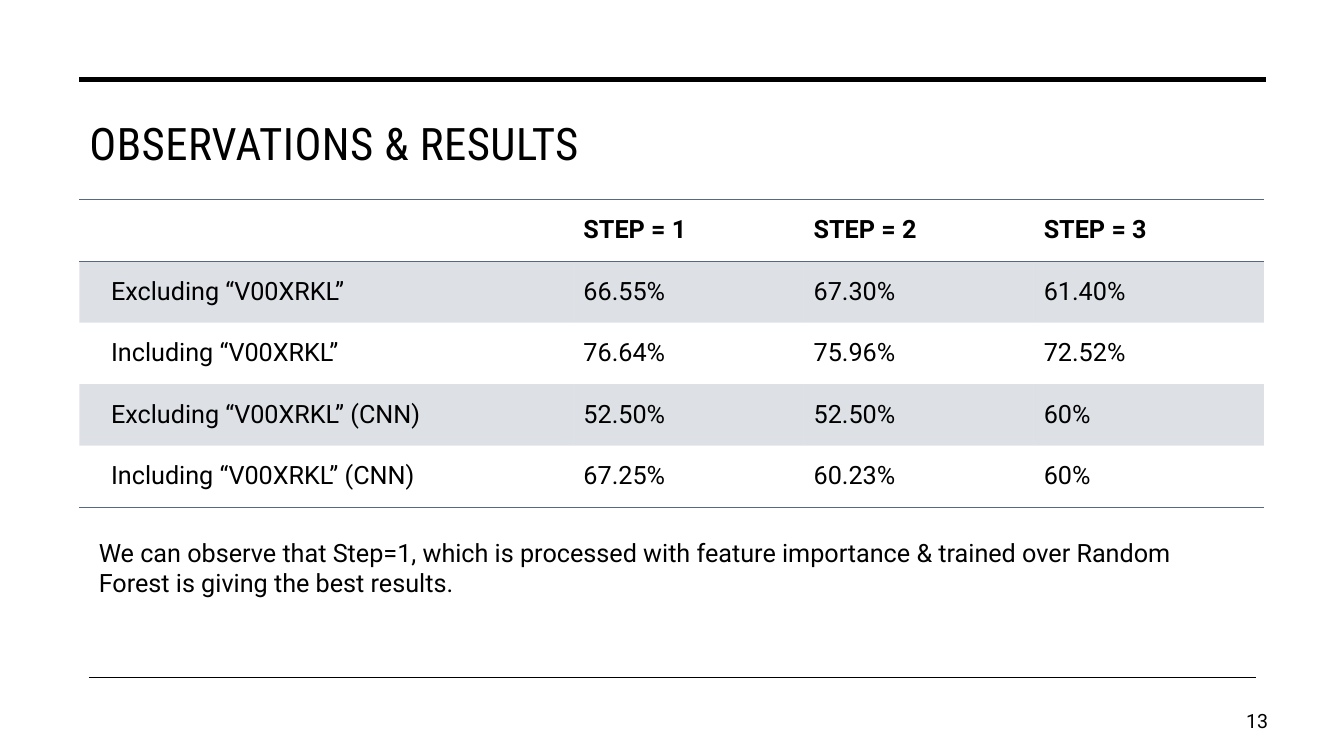
from lxml.etree import SubElement
from pptx import Presentation
from pptx.dml.color import RGBColor
from pptx.enum.shapes import MSO_CONNECTOR as Connector
from pptx.enum.text import MSO_ANCHOR as Anchor, MSO_AUTO_SIZE as AutoSize, PP_ALIGN as Align
from pptx.oxml import parse_xml
from pptx.oxml.ns import nsdecls, qn
from pptx.util import Cm, Pt

BLACK = "000000"
SLATE = "596781"
NO_STYLE_NO_GRID = "{2D5ABB26-0587-4C30-8999-92F81FD0307C}"

HEADER = ["", "STEP = 1", "STEP = 2", "STEP = 3"]
RESULTS = [
    ["Excluding “V00XRKL”", "66.55%", "67.30%", "61.40%"],
    ["Including “V00XRKL”", "76.64%", "75.96%", "72.52%"],
    ["Excluding “V00XRKL” (CNN)", "52.50%", "52.50%", "60%"],
    ["Including “V00XRKL” (CNN)", "67.25%", "60.23%", "60%"],
]
OBSERVATION = ("We can observe that Step=1, which is processed with feature importance "
               "& trained over Random Forest is giving the best results.")


def color(hex_string):
    return RGBColor.from_string(hex_string)


def add_run(paragraph, text, size, font="Roboto", bold=False):
    run = paragraph.add_run()
    run.text = text
    run.font.name = font
    run.font.size = Pt(size)
    run.font.bold = bold
    run.font.color.rgb = color(BLACK)
    return run


def add_rule(slide, left, top, width, weight):
    rule = slide.shapes.add_connector(
        Connector.STRAIGHT, Cm(left), Cm(top), Cm(left + width), Cm(top))
    rule.line.color.rgb = color(BLACK)
    rule.line.width = Pt(weight)
    SubElement(rule._element.spPr, qn("a:effectLst"))


def add_title(slide, left, top, width, height):
    title = slide.shapes.title
    title.left, title.top = Cm(left), Cm(top)
    title.width, title.height = Cm(width), Cm(height)
    frame = title.text_frame
    frame.auto_size = AutoSize.NONE
    frame.vertical_anchor = Anchor.MIDDLE
    paragraph = frame.paragraphs[0]
    paragraph.alignment = Align.LEFT
    run = add_run(paragraph, "OBSERVATIONS & RESULTS", 32, "Roboto Condensed")
    run.font._element.set("spc", "30")


def add_border(cell, side):
    border = parse_xml(
        f'<a:{side} {nsdecls("a")} w="12700"><a:solidFill>'
        f'<a:srgbClr val="{SLATE}"/></a:solidFill></a:{side}>')
    cell._tc.get_or_add_tcPr().insert(0, border)


def fill_band(cell):
    cell.fill.solid()
    cell.fill.fore_color.rgb = color(SLATE)
    tint = cell._tc.tcPr.find(".//" + qn("a:srgbClr"))
    SubElement(tint, qn("a:alpha"), val="20000")


def add_results_table(slide, left, top, width, height):
    rows = [HEADER] + RESULTS
    last = len(rows) - 1
    step_width = 5.8
    label_width = width - step_width * (len(HEADER) - 1)
    table = slide.shapes.add_table(
        len(rows), len(HEADER), Cm(left), Cm(top), Cm(width), Cm(height)).table
    table._tbl.tblPr.find(qn("a:tableStyleId")).text = NO_STYLE_NO_GRID
    table.horz_banding = False

    for index, column in enumerate(table.columns):
        column.width = Cm(step_width if index else label_width)
    for row_index, values in enumerate(rows):
        table.rows[row_index].height = Cm(height / len(rows))
        for column_index, value in enumerate(values):
            cell = table.cell(row_index, column_index)
            cell.vertical_anchor = Anchor.MIDDLE
            if row_index and column_index == 0:
                cell.margin_left = Cm(0.8)
            if value:
                add_run(cell.text_frame.paragraphs[0], value, 18, bold=row_index == 0)
            # Shade every other row
            if row_index % 2:
                fill_band(cell)
            else:
                cell.fill.background()
            # Rule off the header and the end of the table
            if row_index in (0, last):
                add_border(cell, "lnB")
            if row_index == 0:
                add_border(cell, "lnT")


def add_text(slide, text, size, left, top, width, height,
             alignment=Align.LEFT, anchor=Anchor.TOP):
    frame = slide.shapes.add_textbox(Cm(left), Cm(top), Cm(width), Cm(height)).text_frame
    frame.word_wrap = True
    frame.vertical_anchor = anchor
    paragraph = frame.paragraphs[0]
    paragraph.alignment = alignment
    add_run(paragraph, text, size)


def build_results_slide(presentation):
    slide = presentation.slides.add_slide(presentation.slide_layouts[5])
    # Rules at head and foot
    add_rule(slide, 2, 2, 29.9, 3.5)
    add_rule(slide, 2.24, 17.07, 29.4, 1)
    # Title, table and conclusion
    add_title(slide, 2, 2.74, 29.97, 1.73)
    add_results_table(slide, 2, 5.03, 29.85, 7.75)
    add_text(slide, OBSERVATION, 18, 2.24, 13.41, 29.4, 1.8)
    # Page number
    add_text(slide, "13", 14, 30.33, 17.65, 1.88, 1.02, Align.RIGHT, Anchor.MIDDLE)


def main():
    presentation = Presentation()
    presentation.slide_width = Cm(33.87)
    presentation.slide_height = Cm(19.05)
    build_results_slide(presentation)
    presentation.save("out.pptx")


if __name__ == "__main__":
    main()
